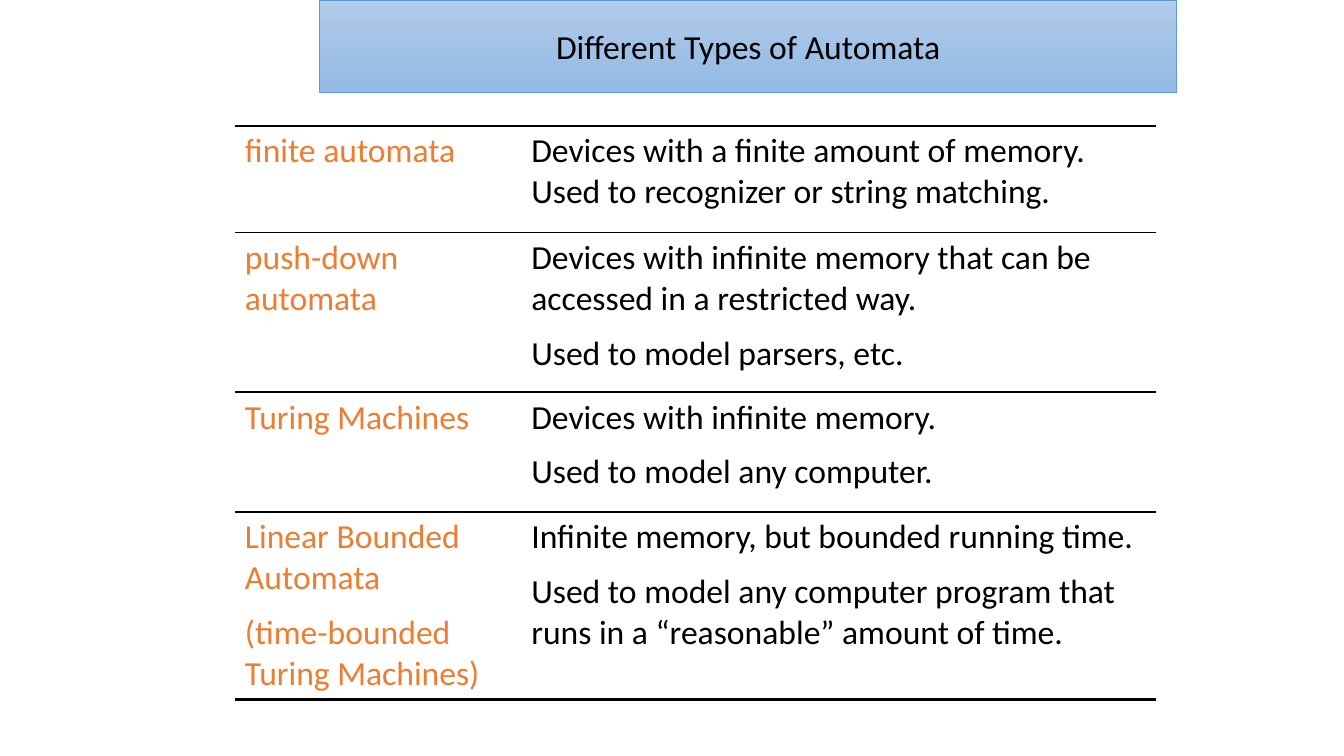
from lxml import etree
from pptx import Presentation
from pptx.dml.color import RGBColor
from pptx.enum.text import MSO_ANCHOR, PP_ALIGN
from pptx.oxml.ns import qn
from pptx.util import Inches, Pt

CENTER = PP_ALIGN.CENTER
MIDDLE = MSO_ANCHOR.MIDDLE
TITLE_ONLY = 5
FONT = "Calibri"
FONT_SIZE = Pt(24)
COLORS = {
    "text": "000000",
    "term": "ED7D31",
    "rule": "000000",
    "title_top": "B1CBE9",
    "title_bottom": "93B9E4",
    "title_line": "5B9BD5",
}
THICK, THIN = 2.25, 1

AUTOMATA = [
    (["finite automata"],
     ["Devices with a finite amount of memory.\nUsed to recognizer or string matching."]),
    (["push-down automata"],
     ["Devices with infinite memory that can be accessed in a restricted way.",
      "Used to model parsers, etc."]),
    (["Turing Machines"],
     ["Devices with infinite memory.", "Used to model any computer."]),
    (["Linear Bounded Automata", "(time-bounded Turing Machines)"],
     ["Infinite memory, but bounded running time.",
      "Used to model any computer program that runs in a “reasonable” amount of time."]),
]
COLUMN_WIDTHS = [2.84, 6.3]
ROW_HEIGHTS = [1.06, 1.58, 1.19, 1.86]


def add_text(paragraph, text, color):
    for index, line in enumerate(text.split("\n")):
        if index:
            paragraph.add_line_break()
        run = paragraph.add_run()
        run.text = line
        run.font.name = FONT
        run.font.size = FONT_SIZE
        run.font.color.rgb = RGBColor.from_string(COLORS[color])


def set_borders(cell, top, bottom):
    properties = cell._tc.get_or_add_tcPr()
    widths = {"a:lnL": 0, "a:lnR": 0, "a:lnT": top, "a:lnB": bottom}
    for position, (tag, width) in enumerate(widths.items()):
        line = etree.Element(qn(tag), w=str(Pt(width)))
        if width:
            fill = etree.SubElement(line, qn("a:solidFill"))
            etree.SubElement(fill, qn("a:srgbClr"), val=COLORS["rule"])
        else:
            etree.SubElement(line, qn("a:noFill"))
        properties.insert(position, line)


presentation = Presentation()
presentation.slide_width = Inches(13.33)
presentation.slide_height = Inches(7.5)
slide = presentation.slides.add_slide(presentation.slide_layouts[TITLE_ONLY])

title = slide.shapes.title
title.left, title.top = Inches(3.17), Inches(0)
title.width, title.height = Inches(8.5), Inches(0.92)
title.fill.gradient()
title.fill.gradient_angle = 270
for stop, name in zip(title.fill.gradient_stops, ("title_top", "title_bottom")):
    stop.color.rgb = RGBColor.from_string(COLORS[name])
title.line.color.rgb = RGBColor.from_string(COLORS["title_line"])
title.line.width = Pt(0.5)
title.text_frame.vertical_anchor = MIDDLE
title_paragraph = title.text_frame.paragraphs[0]
title_paragraph.alignment = CENTER
add_text(title_paragraph, "Different Types of Automata", "text")

table = slide.shapes.add_table(
    len(AUTOMATA), len(COLUMN_WIDTHS), Inches(2.33), Inches(1.25),
    Inches(sum(COLUMN_WIDTHS)), Inches(sum(ROW_HEIGHTS))).table
table.first_row = False
table.horz_banding = False
for column, width in zip(table.columns, COLUMN_WIDTHS):
    column.width = Inches(width)
for row, height in zip(table.rows, ROW_HEIGHTS):
    row.height = Inches(height)

last_row = len(AUTOMATA) - 1
for row_index, contents in enumerate(AUTOMATA):
    for column_index, color in enumerate(("term", "text")):
        cell = table.cell(row_index, column_index)
        cell.fill.background()
        set_borders(cell,
                    THICK if row_index == 0 else THIN,
                    THICK if row_index == last_row else THIN)
        for index, text in enumerate(contents[column_index]):
            if index:
                paragraph = cell.text_frame.add_paragraph()
                paragraph.space_before = Pt(9.6)
            else:
                paragraph = cell.text_frame.paragraphs[0]
            add_text(paragraph, text, color)

presentation.save("out.pptx")
